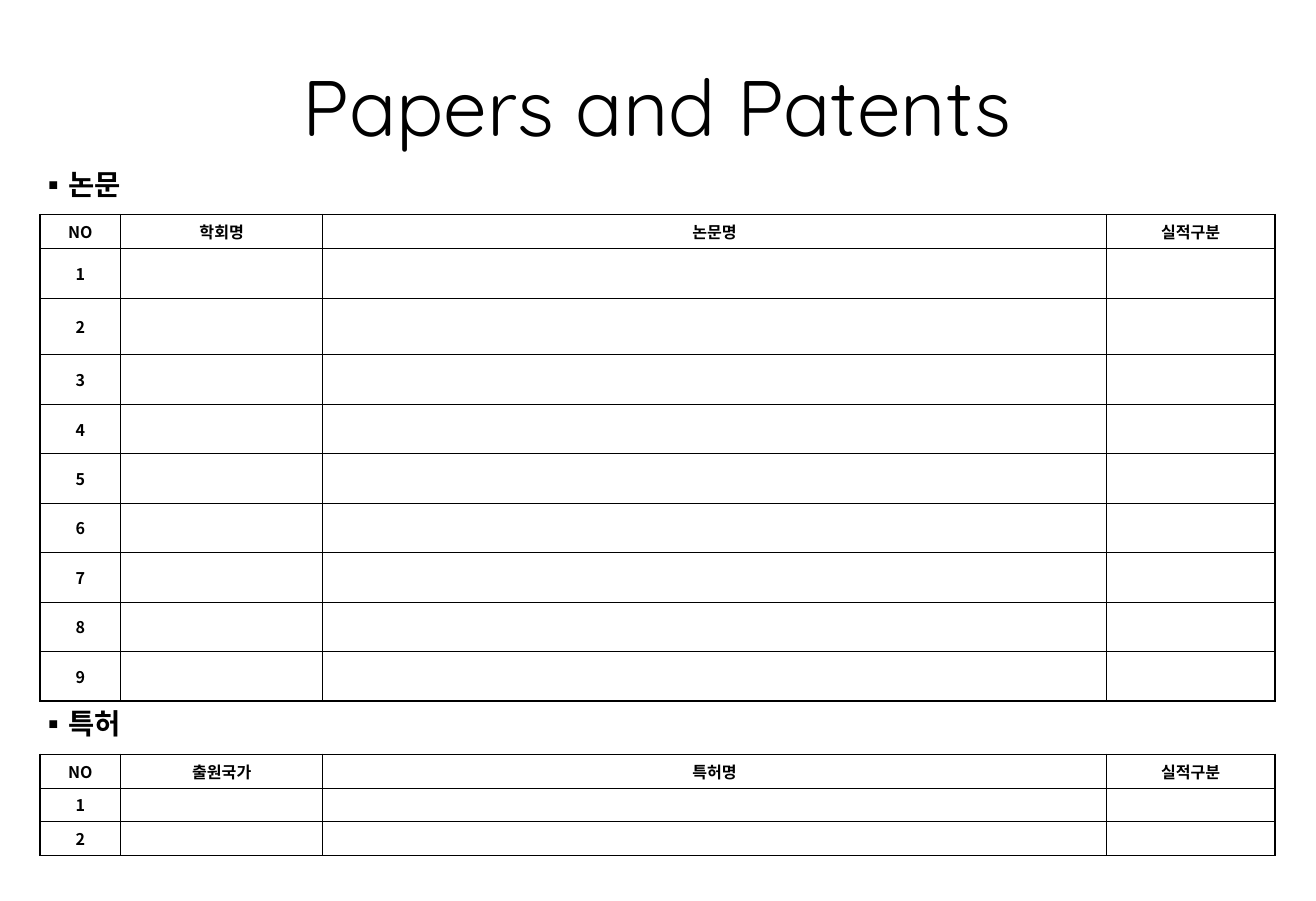
import pptx
import pptx.dml.color
import pptx.enum.text
import pptx.oxml.ns
import pptx.util
from lxml import etree

Inches = pptx.util.Inches
Pt = pptx.util.Pt
Align = pptx.enum.text.PP_ALIGN
Anchor = pptx.enum.text.MSO_ANCHOR

COLORS = {"ink": "000000"}
TITLE_FONT = "Quicksand"
BODY_FONT = "Noto Sans CJK KR"
LEFT, WIDTH = 0.31, 9.61
COLUMN_WIDTHS = [0.63, 1.57, 6.1, 1.31]


def add_element(parent, tag, **attributes):
    return etree.SubElement(parent, pptx.oxml.ns.qn(tag), attributes)


def write_text(frame, text, font=BODY_FONT, size=9, bold=True, align=Align.LEFT,
               anchor=Anchor.MIDDLE, color="ink"):
    frame.word_wrap = True
    frame.auto_size = pptx.enum.text.MSO_AUTO_SIZE.NONE
    frame.vertical_anchor = anchor
    paragraph = frame.paragraphs[0]
    paragraph.alignment = align
    run = paragraph.add_run()
    run.text = text
    run.font.name = font
    run.font.size = Pt(size)
    run.font.bold = bold
    run.font.color.rgb = pptx.dml.color.RGBColor.from_string(COLORS[color])
    add_element(run.font._element, "a:ea", typeface=font)
    return paragraph


class FormSlide:
    def __init__(self, presentation):
        self.slide = presentation.slides.add_slide(presentation.slide_layouts[5])

    def add_title(self, text):
        title = self.slide.shapes.title
        title.left, title.top = Inches(0.39), Inches(0.27)
        title.width, title.height = Inches(9.45), Inches(1.1)
        write_text(title.text_frame, text, font=TITLE_FONT, size=44, bold=False,
                   align=Align.CENTER)

    def add_heading(self, text, top):
        shape = self.slide.shapes.add_textbox(
            Inches(LEFT), Inches(top), Inches(WIDTH), Inches(0.31))
        frame = shape.text_frame
        frame.margin_left = frame.margin_right = 0
        frame.margin_top = frame.margin_bottom = 0
        paragraph = write_text(frame, text, size=16)
        properties = paragraph._p.get_or_add_pPr()
        properties.set("marL", str(Inches(0.16)))
        properties.set("indent", str(-Inches(0.16)))
        add_element(properties, "a:buFont", typeface=BODY_FONT)
        add_element(properties, "a:buChar", char="▪")

    def add_form(self, headers, row_heights, top):
        frame = self.slide.shapes.add_table(
            len(row_heights), len(headers), Inches(LEFT), Inches(top),
            Inches(WIDTH), Inches(sum(row_heights)))
        table = frame.table
        table.first_row = table.horz_banding = False
        for column, width in zip(table.columns, COLUMN_WIDTHS):
            column.width = Inches(width)
        last_row, last_column = len(row_heights) - 1, len(headers) - 1
        for row_index, height in enumerate(row_heights):
            table.rows[row_index].height = Inches(height)
            labels = [str(row_index)] if row_index else headers
            for column_index in range(len(headers)):
                cell = table.cell(row_index, column_index)
                text = labels[column_index] if column_index < len(labels) else ""
                self.fill_cell(cell, text)
                self.set_borders(cell, {
                    "L": column_index == 0, "R": column_index == last_column,
                    "T": row_index == 0, "B": row_index == last_row})

    def fill_cell(self, cell, text):
        cell.fill.background()
        cell.vertical_anchor = Anchor.MIDDLE
        cell.margin_left = cell.margin_right = Inches(0.04)
        cell.margin_top = cell.margin_bottom = Inches(0.04)
        paragraph = cell.text_frame.paragraphs[0]
        if text:
            write_text(cell.text_frame, text, align=Align.CENTER)
            spacing = add_element(paragraph._p.get_or_add_pPr(), "a:spcBef")
            add_element(spacing, "a:spcPct", val="20000")
        else:
            add_element(paragraph._p, "a:endParaRPr", sz="900")

    def set_borders(self, cell, outer_sides):
        properties = cell._tc.get_or_add_tcPr()
        for position, (side, is_outer) in enumerate(outer_sides.items()):
            width = Pt(1 if is_outer else 0.5)
            line = add_element(properties, f"a:ln{side}", w=str(width))
            fill = add_element(line, "a:solidFill")
            add_element(fill, "a:srgbClr", val=COLORS["ink"])
            properties.insert(position, line)


def main():
    presentation = pptx.Presentation()
    presentation.slide_width = Inches(10.24)
    presentation.slide_height = Inches(7.01)
    form = FormSlide(presentation)
    form.add_title("Papers and Patents")
    form.add_form(["NO", "학회명", "논문명", "실적구분"],
                  [0.26, 0.39, 0.44] + [0.385] * 7, top=1.67)
    form.add_heading("논문", top=1.28)
    form.add_heading("특허", top=5.47)
    form.add_form(["NO", "출원국가", "특허명", "실적구분"], [0.26] * 3, top=5.87)
    presentation.save("out.pptx")


if __name__ == "__main__":
    main()
